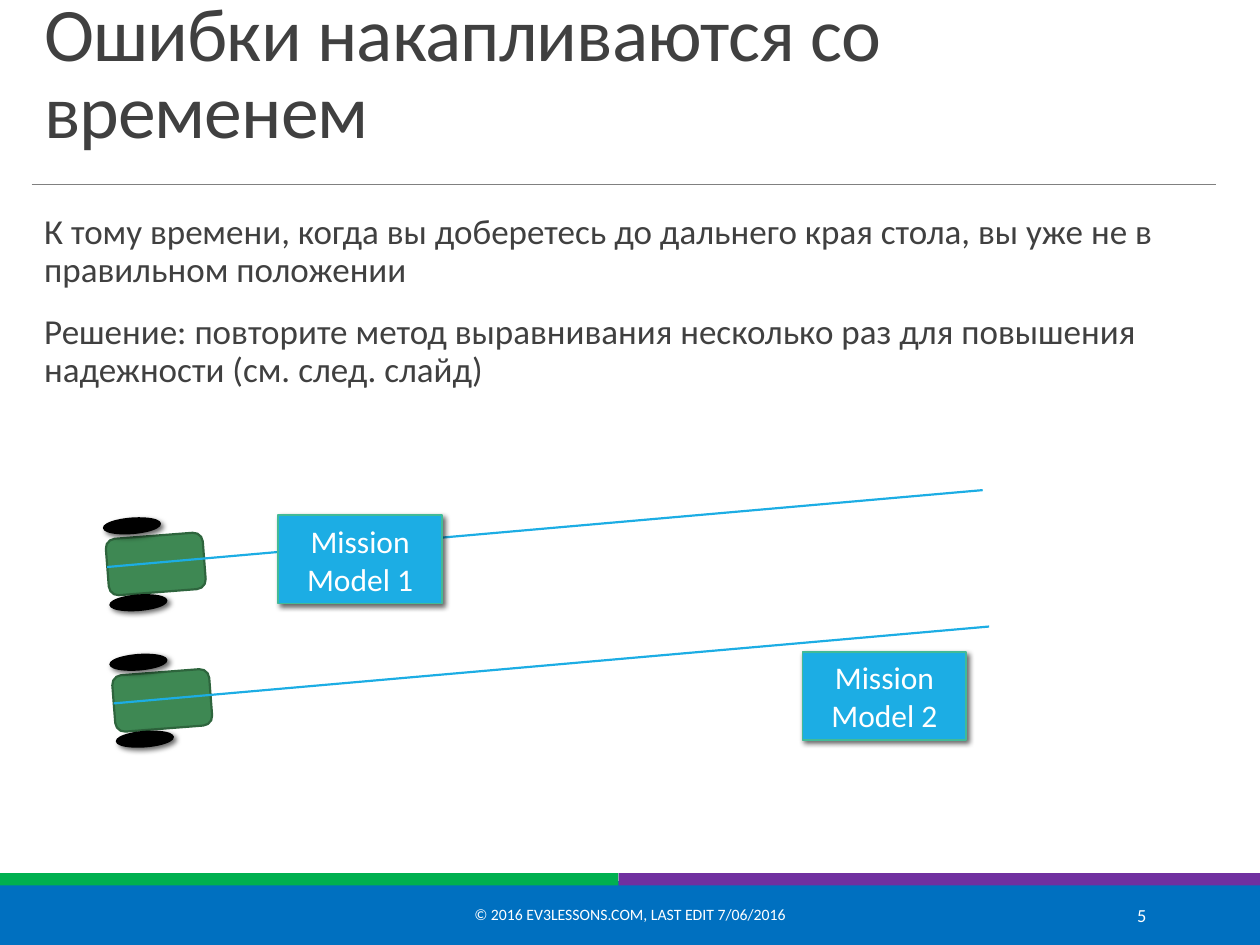
"""Builds the slide on errors that accumulate over time."""
from lxml.etree import SubElement
from pptx import Presentation
from pptx.dml.color import RGBColor
from pptx.enum.shapes import MSO_CONNECTOR, MSO_SHAPE
from pptx.enum.text import MSO_ANCHOR, MSO_AUTO_SIZE, PP_ALIGN
from pptx.oxml import parse_xml
from pptx.oxml.ns import nsdecls, qn
from pptx.util import Cm, Pt

COLORS = {
    "text": "404040", "white": "FFFFFF", "black": "000000", "rule": "808080",
    "footer": "0070C0", "green": "00B050", "purple": "7030A0",
    "robot": "3E8853", "robot_edge": "2E653D",
    "model": "1CADE4", "model_edge": "42BA97",
}
TILT = 85.6
ROW_SHIFT = (0.13, 2.75)
SHADOW = (
    f'<a:effectLst {nsdecls("a")}><a:outerShdw blurRad="{Pt(3)}" dist="{Pt(2)}" '
    'dir="2700000" rotWithShape="0"><a:srgbClr val="000000">'
    '<a:alpha val="60000"/></a:srgbClr></a:outerShdw></a:effectLst>'
)


def rgb(name):
    return RGBColor.from_string(COLORS[name])


def place(sp, *box):
    sp.left, sp.top, sp.width, sp.height = (Cm(v) for v in box)


def add_run(p, text, size, color):
    r = p.add_run()
    r.text = text
    r.font.size = Pt(size)
    r.font.name = "Calibri"
    r.font.color.rgb = rgb(color)
    return r


def add_block(shapes, kind, box, fill, edge, width, rotation=0, shadow=False):
    sp = shapes.add_shape(kind, *(Cm(v) for v in box))
    sp.rotation = rotation
    sp.fill.solid()
    sp.fill.fore_color.rgb = rgb(fill)
    if edge:
        sp.line.color.rgb = rgb(edge)
        sp.line.width = Pt(width)
    else:
        sp.line.fill.background()
    if shadow:
        sp._element.spPr.append(parse_xml(SHADOW))
    else:
        sp.shadow.inherit = False
    return sp


def add_line(s, start, end, color, width):
    ends = (Cm(v) for v in (*start, *end))
    line = s.shapes.add_connector(MSO_CONNECTOR.STRAIGHT, *ends)
    line.line.color.rgb = rgb(color)
    line.line.width = Pt(width)
    SubElement(line._element.spPr, qn("a:effectLst"))


def add_label(s, box, text, size, align):
    tf = s.shapes.add_textbox(*(Cm(v) for v in box)).text_frame
    tf.word_wrap = True
    tf.vertical_anchor = MSO_ANCHOR.MIDDLE
    p = tf.paragraphs[0]
    p.alignment = align
    add_run(p, text, size, "white")


def fill_title(sp, text):
    place(sp, 0.64, 0.79, 23.88, 2.44)
    tf = sp.text_frame
    tf.auto_size = MSO_AUTO_SIZE.NONE
    tf.vertical_anchor = MSO_ANCHOR.BOTTOM
    p = tf.paragraphs[0]
    p.alignment = PP_ALIGN.LEFT
    p.line_spacing = 0.85
    r = add_run(p, text, 43.2, "text")
    r.font._element.set("spc", "-50")


def fill_body(sp, items):
    place(sp, 0.64, 4.19, 23.88, 12.93)
    tf = sp.text_frame
    tf.auto_size = MSO_AUTO_SIZE.NONE
    tf.margin_left = tf.margin_right = 0
    for i, text in enumerate(items):
        p = tf.add_paragraph() if i else tf.paragraphs[0]
        pPr = p._p.get_or_add_pPr()
        pPr.set("marL", str(Cm(0.25)))
        pPr.set("indent", str(-Cm(0.25)))
        SubElement(SubElement(pPr, qn("a:buClr")), qn("a:srgbClr"), val=COLORS["model"])
        SubElement(pPr, qn("a:buChar"), char=" ")
        p.line_spacing = 0.9
        p.space_before = Pt(12 if i else 0)
        p.space_after = Pt(2)
        add_run(p, text, 20, "text")


def add_robot(s, dx, dy):
    shapes = s.shapes.add_group_shape().shapes
    add_block(shapes, MSO_SHAPE.ROUNDED_RECTANGLE, (2.57 + dx, 10.39 + dy, 1.14, 1.96),
              "robot", "robot_edge", 1.25, TILT)
    for x, y in ((2.51, 10.03), (2.64, 11.58)):
        add_block(shapes, MSO_SHAPE.OVAL, (x + dx, y + dy, 0.3, 1.14),
                  "black", "black", 1, TILT, shadow=True)


def add_model(s, x, y, text):
    sp = add_block(s.shapes, MSO_SHAPE.RECTANGLE, (x, y, 3.3, 1.78),
                   "model", "model_edge", 1, shadow=True)
    tf = sp.text_frame
    tf.word_wrap = True
    tf.vertical_anchor = MSO_ANCHOR.MIDDLE
    p = tf.paragraphs[0]
    p.alignment = PP_ALIGN.CENTER
    add_run(p, text, 18, "white")


def add_frame(s):
    for box, color, edge in (
        ((0, 17.78, 25.4, 1.27), "footer", "footer"),
        ((0, 17.6, 12.47, 0.25), "green", None),
        ((12.47, 17.6, 12.93, 0.25), "purple", None),
    ):
        add_block(s.shapes, MSO_SHAPE.RECTANGLE, box, color, edge, 1.25)
    add_line(s, (0.64, 3.71), (24.51, 3.71), "rule", 0.5)


def main():
    prs = Presentation()
    prs.slide_width, prs.slide_height = Cm(25.4), Cm(19.05)
    s = prs.slides.add_slide(prs.slide_layouts[1])
    add_frame(s)
    fill_title(s.shapes.title, "Ошибки накапливаются со временем")
    fill_body(s.placeholders[1], (
        "К тому времени, когда вы доберетесь до дальнего края стола, "
        "вы уже не в правильном положении",
        "Решение: повторите метод выравнивания несколько раз "
        "для повышения надежности (см. след. слайд)",
    ))
    for row, model_x in enumerate((5.61, 16.18)):
        dx, dy = (row * v for v in ROW_SHIFT)
        add_robot(s, dx, dy)
        add_line(s, (2.16 + dx, 11.43 + dy), (19.81 + dx, 9.88 + dy), "model", 1.25)
        add_model(s, model_x, 10.39 + dy, f"Mission Model {row + 1}")
    add_label(s, (7.67, 17.93, 10.06, 1.02),
              "© 2016 EV3LESSONS.COM, LAST EDIT 7/06/2016", 9, PP_ALIGN.CENTER)
    add_label(s, (20.62, 17.93, 2.74, 1.02), "5", 10.5, PP_ALIGN.RIGHT)
    prs.save("out.pptx")


if __name__ == "__main__":
    main()
